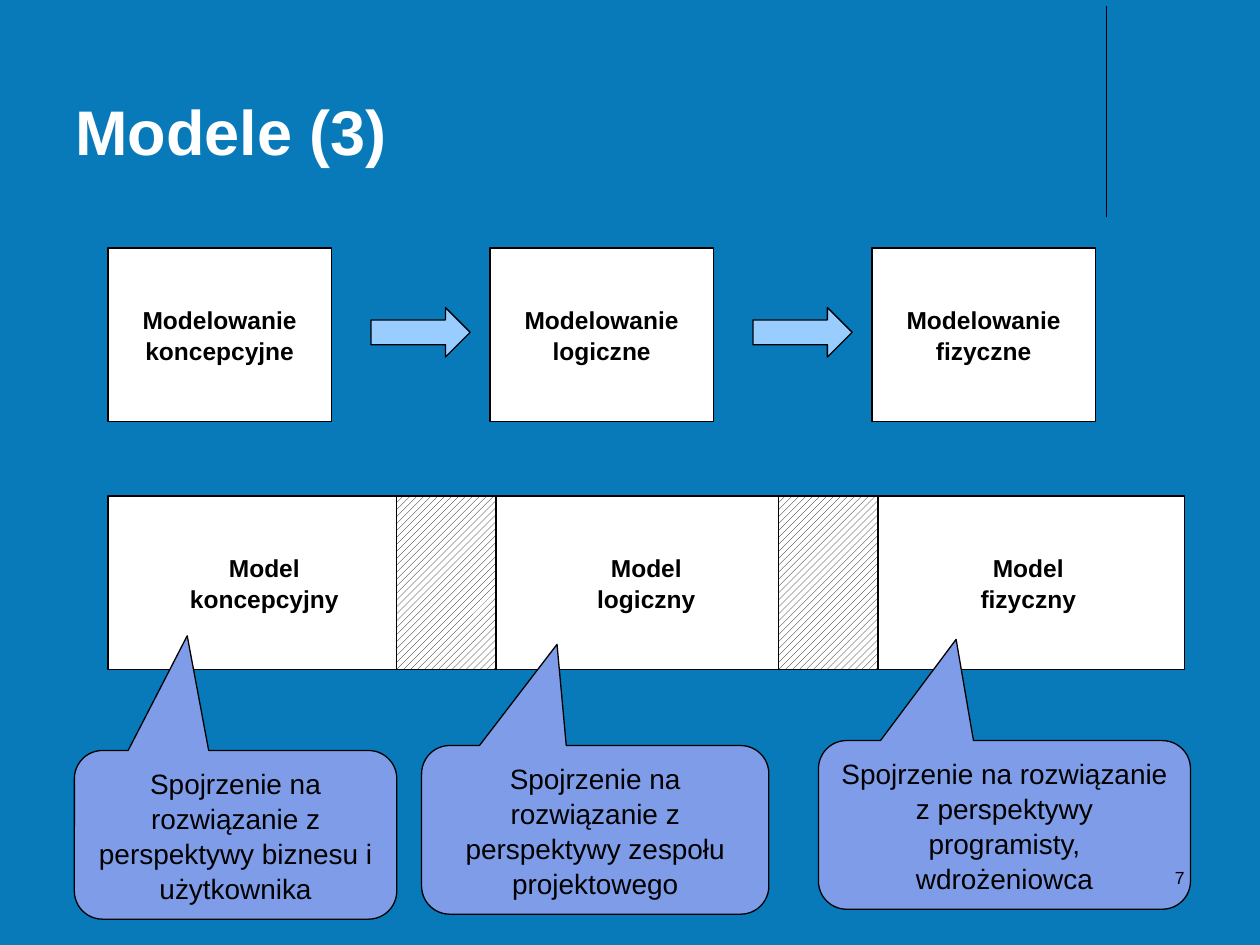
from copy import deepcopy

from lxml import etree
from pptx import Presentation
from pptx.dml.color import RGBColor
from pptx.enum.dml import MSO_PATTERN
from pptx.enum.shapes import MSO_CONNECTOR, MSO_SHAPE
from pptx.enum.text import MSO_ANCHOR, PP_ALIGN
from pptx.oxml.ns import qn
from pptx.util import Cm, Pt

RECT = MSO_SHAPE.RECTANGLE
ARROW = MSO_SHAPE.RIGHT_ARROW
CALLOUT = MSO_SHAPE.ROUNDED_RECTANGULAR_CALLOUT
HATCH = MSO_PATTERN.WIDE_UPWARD_DIAGONAL
STRAIGHT = MSO_CONNECTOR.STRAIGHT
LEFT, CENTER, RIGHT = PP_ALIGN.LEFT, PP_ALIGN.CENTER, PP_ALIGN.RIGHT
TOP, MIDDLE, BOTTOM = MSO_ANCHOR.TOP, MSO_ANCHOR.MIDDLE, MSO_ANCHOR.BOTTOM

BLACK, WHITE, BLUE = "000000", "FFFFFF", "097AB9"
ARROW_BLUE, CALLOUT_BLUE = "99CCFF", "7E9CE8"

TITLE = {"name": "Arial", "size": Pt(36), "bold": True}
LABEL = {"name": "Arial", "size": Pt(14), "bold": True}
BODY = {"name": "Arial", "size": Pt(16), "bold": False}
NUMBER = {"name": "Arial", "size": Pt(10), "bold": False}

COLUMN_LEFT, COLUMN_PITCH = 2.18, 7.7
STAGE_TOP, MODEL_TOP, BOX_HEIGHT = 5, 10, 3.5
STAGES = ["koncepcyjne", "logiczne", "fizyczne"]
MODELS = ["koncepcyjny", "logiczny", "fizyczny"]
# left, top, width, pointer x, pointer y, end of the sentence
CALLOUTS = [
    (1.5, 15.13, 6.5, -0.15, -1.18, "biznesu i użytkownika"),
    (8.5, 15.03, 7, -0.11, -1.1, "zespołu projektowego"),
    (16.5, 14.93, 7.5, -0.13, -1.1, "programisty, wdrożeniowca"),
]


def color(value):
    return RGBColor.from_string(value)


class Deck:
    """Holds the presentation, its current slide and the shared style."""

    def __init__(self, width, height, background):
        self.prs = Presentation()
        self.prs.slide_width, self.prs.slide_height = Cm(width), Cm(height)
        self.s = self.prs.slides.add_slide(self.prs.slide_layouts[6])
        fill = self.s.background.fill
        fill.solid()
        fill.fore_color.rgb = color(background)

    def set_text(self, sp, text, font, ink=BLACK, align=CENTER, anchor=MIDDLE, spacing=1.04):
        tf = sp.text_frame
        frame = {"word_wrap": True, "vertical_anchor": anchor,
                 "margin_left": Cm(0.25), "margin_right": Cm(0.25),
                 "margin_top": Cm(0.13), "margin_bottom": Cm(0.13)}
        for name, value in frame.items():
            setattr(tf, name, value)
        p = tf.paragraphs[0]
        p.text, p.alignment, p.line_spacing = text, align, spacing
        for r in p.runs:
            for name, value in font.items():
                setattr(r.font, name, value)
            r.font.color.rgb = color(ink)
        for br in p._p.findall(qn("a:br")):
            br.append(deepcopy(p.runs[0]._r.find(qn("a:rPr"))))

    def shape(self, kind, left, top, width, height, fill, line=0):
        sp = self.s.shapes.add_shape(kind, Cm(left), Cm(top), Cm(width), Cm(height))
        sp.shadow.inherit = False
        sp.fill.solid()
        sp.fill.fore_color.rgb = color(fill)
        sp.line.color.rgb = color(BLACK)
        sp.line.width = Pt(line)
        return sp

    def box(self, left, top, width, text):
        self.set_text(self.shape(RECT, left, top, width, BOX_HEIGHT, WHITE), text, LABEL)

    def overlap(self, left, top):
        """Hatched area shared by two neighbouring models."""
        fill = self.shape(RECT, left, top, 2, BOX_HEIGHT, WHITE).fill
        fill.patterned()
        fill.pattern = HATCH
        fill.fore_color.rgb = color(BLACK)
        fill.back_color.rgb = color(WHITE)

    def arrow(self, left, top):
        self.shape(ARROW, left, top, 2, 1, ARROW_BLUE)

    def callout(self, left, top, width, tip_x, tip_y, text):
        sp = self.shape(CALLOUT, left, top, width, 3.4, CALLOUT_BLUE, 0.75)
        sp.adjustments[0], sp.adjustments[1] = tip_x, tip_y
        self.set_text(sp, text, BODY, anchor=TOP)

    def text(self, left, top, width, height, text, font, **layout):
        sp = self.s.shapes.add_textbox(Cm(left), Cm(top), Cm(width), Cm(height))
        self.set_text(sp, text, font, spacing=1, **layout)

    def line(self, x1, y1, x2, y2):
        cn = self.s.shapes.add_connector(STRAIGHT, Cm(x1), Cm(y1), Cm(x2), Cm(y2))
        cn.line.color.rgb = color(BLACK)
        cn.line.width = Pt(0.75)
        etree.SubElement(cn._element.spPr, qn("a:effectLst"))


def main():
    deck = Deck(25.4, 19.05, BLUE)
    deck.line(22.3, 0.13, 22.3, 4.37)
    deck.text(1.27, 0.33, 20.95, 3.18, "Modele (3)", TITLE,
              ink=WHITE, align=LEFT, anchor=BOTTOM)

    for i, (stage, model) in enumerate(zip(STAGES, MODELS)):
        left = COLUMN_LEFT + i * COLUMN_PITCH
        deck.box(left, STAGE_TOP, 4.5, f"Modelowanie\n{stage}")
        deck.box(left, MODEL_TOP, 6.3, f"Model\n{model}")
        if i:
            deck.overlap(left - 1.88, MODEL_TOP)
            deck.arrow(left - 2.4, STAGE_TOP + 1.2)

    for *place, ending in CALLOUTS:
        deck.callout(*place, f"Spojrzenie na rozwiązanie z perspektywy {ending}")

    deck.text(18.2, 17.35, 5.93, 1.27, "7", NUMBER, align=RIGHT, anchor=TOP)
    deck.prs.save("out.pptx")


if __name__ == "__main__":
    main()
